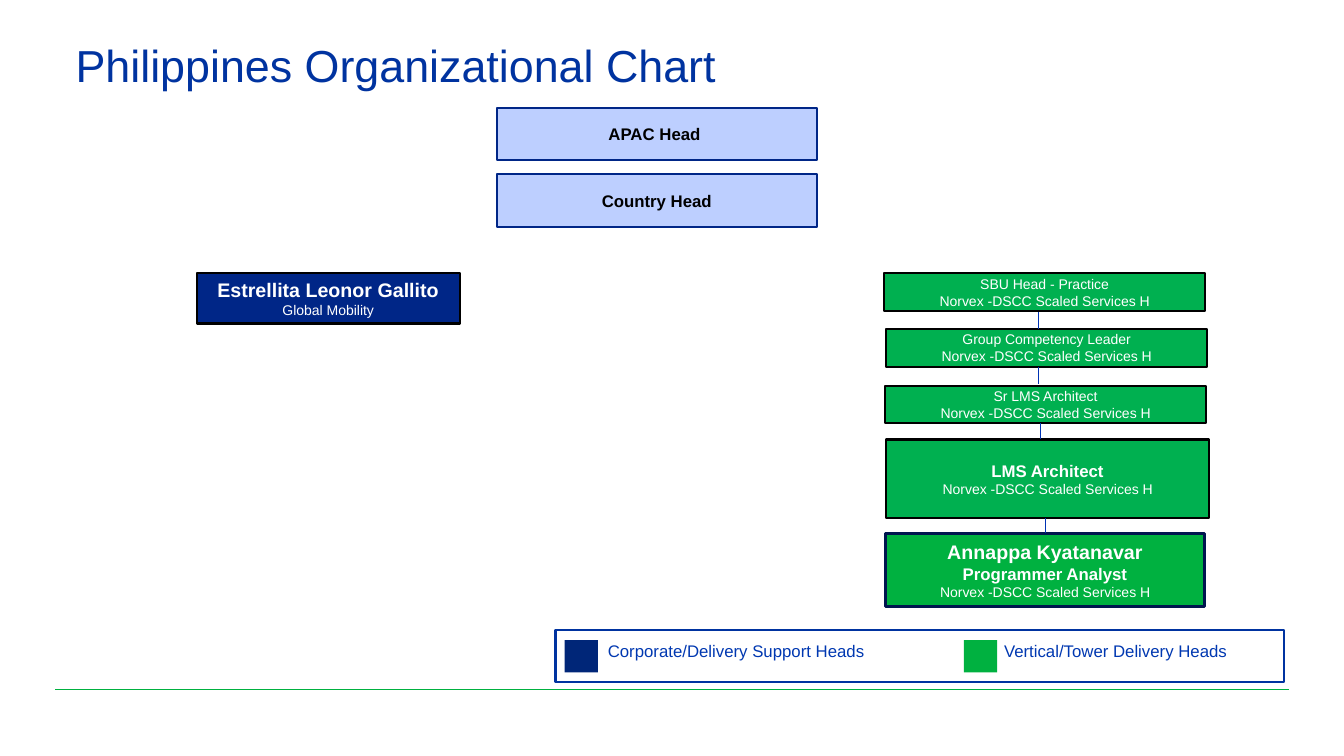
from dataclasses import dataclass

from pptx import Presentation
from pptx.dml.color import RGBColor
from pptx.enum.shapes import MSO_CONNECTOR, MSO_SHAPE
from pptx.enum.text import MSO_ANCHOR, MSO_AUTO_SIZE, PP_ALIGN
from pptx.oxml.ns import qn
from pptx.util import Inches, Pt


@dataclass(frozen=True)
class Theme:
    font: str = "Arial"
    title_blue: str = "0033A0"
    legend_blue: str = "0038B1"
    link_blue: str = "0033B4"
    navy: str = "002687"
    navy_swatch: str = "002678"
    dark_navy: str = "00164F"
    pale_blue: str = "BDCFFF"
    green: str = "00B050"
    bright_green: str = "00B140"
    black: str = "000000"
    white: str = "FFFFFF"
    title_size: int = 32
    name_size: int = 14
    role_size: int = 12
    unit_size: int = 10


THEME = Theme()
UNIT = "Norvex -DSCC Scaled Services H"


def add_span(para, text, size, color, bold=False):
    span = para.add_run()
    span.text = text
    span.font.name = THEME.font
    span.font.size = Pt(size)
    span.font.bold = bold
    span.font.color.rgb = RGBColor.from_string(color)


def add_box(slide, box, fill=None, outline=None, width=1.5):
    shape = slide.shapes.add_shape(MSO_SHAPE.RECTANGLE, *map(Inches, box))
    shape.shadow.inherit = False
    if fill:
        shape.fill.solid()
        shape.fill.fore_color.rgb = RGBColor.from_string(fill)
    else:
        shape.fill.background()
    if outline:
        shape.line.color.rgb = RGBColor.from_string(outline)
        shape.line.width = Pt(width)
    else:
        shape.line.fill.background()
    return shape


def add_card(slide, box, paragraphs, fill, outline, color=THEME.white, width=1.5):
    """Each paragraph is (lines, size, bold); its lines are split by line breaks."""
    frame = add_box(slide, box, fill, outline, width).text_frame
    frame.word_wrap = True
    frame.vertical_anchor = MSO_ANCHOR.MIDDLE
    frame.margin_left = frame.margin_right = 0
    for index, (lines, size, bold) in enumerate(paragraphs):
        para = frame.add_paragraph() if index else frame.paragraphs[0]
        para.alignment = PP_ALIGN.CENTER
        for number, line in enumerate(lines):
            if number:
                para.add_line_break()
            add_span(para, line, size, color, bold)


def add_line(slide, start, end, color):
    line = slide.shapes.add_connector(MSO_CONNECTOR.STRAIGHT, *map(Inches, start + end))
    line.line.color.rgb = RGBColor.from_string(color)
    line.line.width = Pt(0.75)
    properties = line._element.spPr
    properties.append(properties.makeelement(qn("a:effectLst"), {}))


def add_title(slide, box):
    title = slide.shapes.title
    title.left, title.top, title.width, title.height = map(Inches, box)
    frame = title.text_frame
    frame.margin_left = frame.margin_right = frame.margin_top = frame.margin_bottom = 0
    frame.vertical_anchor = MSO_ANCHOR.TOP
    frame.auto_size = MSO_AUTO_SIZE.NONE
    frame.word_wrap = True
    para = frame.paragraphs[0]
    para.alignment = PP_ALIGN.LEFT
    para.line_spacing = 0.9
    add_span(para, "Philippines Organizational Chart", THEME.title_size, THEME.title_blue)


def add_heads(slide, box):
    left, top, width, height = box
    for index, role in enumerate(("APAC Head ", "Country Head")):
        add_card(slide, (left, top + index * 0.66, width, height),
                 [((role,), THEME.role_size, True)],
                 THEME.pale_blue, THEME.navy, THEME.black)


def add_support(slide, box):
    add_card(slide, box,
             [(("Estrellita Leonor Gallito",), THEME.name_size, True),
              (("Global Mobility",), THEME.unit_size, False)],
             THEME.navy, THEME.black)


def add_delivery_chain(slide, box):
    left, top, width, height = box
    unit = ((UNIT,), THEME.unit_size, False)
    # Offsets from the region: left, top, extra width, height; then the text.
    cards = [
        (0, 0, 0, 0.38, [(("SBU Head - Practice", UNIT), THEME.unit_size, False)]),
        (0.02, 0.55, 0, 0.38, [(("Group Competency Leader", UNIT), THEME.unit_size, False)]),
        (0.01, 1.12, 0, 0.37, [(("Sr LMS Architect", UNIT), THEME.unit_size, False)]),
        (0.02, 1.65, 0.02, 0.78, [(("LMS Architect",), THEME.role_size, True), unit]),
    ]
    for x, y, extra, card_height, paragraphs in cards:
        add_card(slide, (left + x, top + y, width + extra, card_height),
                 paragraphs, THEME.green, THEME.black)
    analyst_height = 0.73
    add_card(slide, (left + 0.01, top + height - analyst_height, width - 0.01, analyst_height),
             [(("Annappa Kyatanavar",), THEME.name_size, True),
              (("Programmer Analyst",), THEME.role_size, True), unit],
             THEME.bright_green, THEME.dark_navy, width=2)
    for x, y, length in ((1.53, 0.39, 0.16), (1.53, 0.93, 0.17),
                         (1.55, 1.49, 0.16), (1.6, 2.43, 0.15)):
        add_line(slide, (left + x, top + y), (left + x, top + y + length), THEME.link_blue)


def add_legend(slide, box):
    left, top, width, height = box
    add_box(slide, box, outline=THEME.title_blue)
    entries = [
        (0.09, 0.42, 2.98, THEME.navy_swatch, "Corporate/Delivery Support Heads"),
        (4.05, 4.35, 2.57, THEME.bright_green, "Vertical/Tower Delivery Heads"),
    ]
    for swatch_x, label_x, label_width, color, label in entries:
        add_box(slide, (left + swatch_x, top + 0.1, 0.33, 0.32), color)
        text_box = slide.shapes.add_textbox(
            *map(Inches, (left + label_x, top + 0.06, label_width, 0.41)))
        text_box.text_frame.word_wrap = True
        add_span(text_box.text_frame.paragraphs[0], label, THEME.role_size, THEME.legend_blue)


def main():
    deck = Presentation()
    deck.slide_width, deck.slide_height = Inches(13.33), Inches(7.5)
    page = deck.slides.add_slide(deck.slide_layouts[5])
    add_line(page, (0.55, 6.84), (12.78, 6.84), THEME.bright_green)
    add_title(page, (0.75, 0.43, 12.22, 1.16))
    add_legend(page, (5.51, 6.25, 7.23, 0.52))
    add_heads(page, (4.93, 1.07, 3.17, 0.52))
    add_support(page, (1.95, 2.71, 2.61, 0.5))
    add_delivery_chain(page, (8.77, 2.71, 3.18, 3.31))
    deck.save("out.pptx")


if __name__ == "__main__":
    main()
